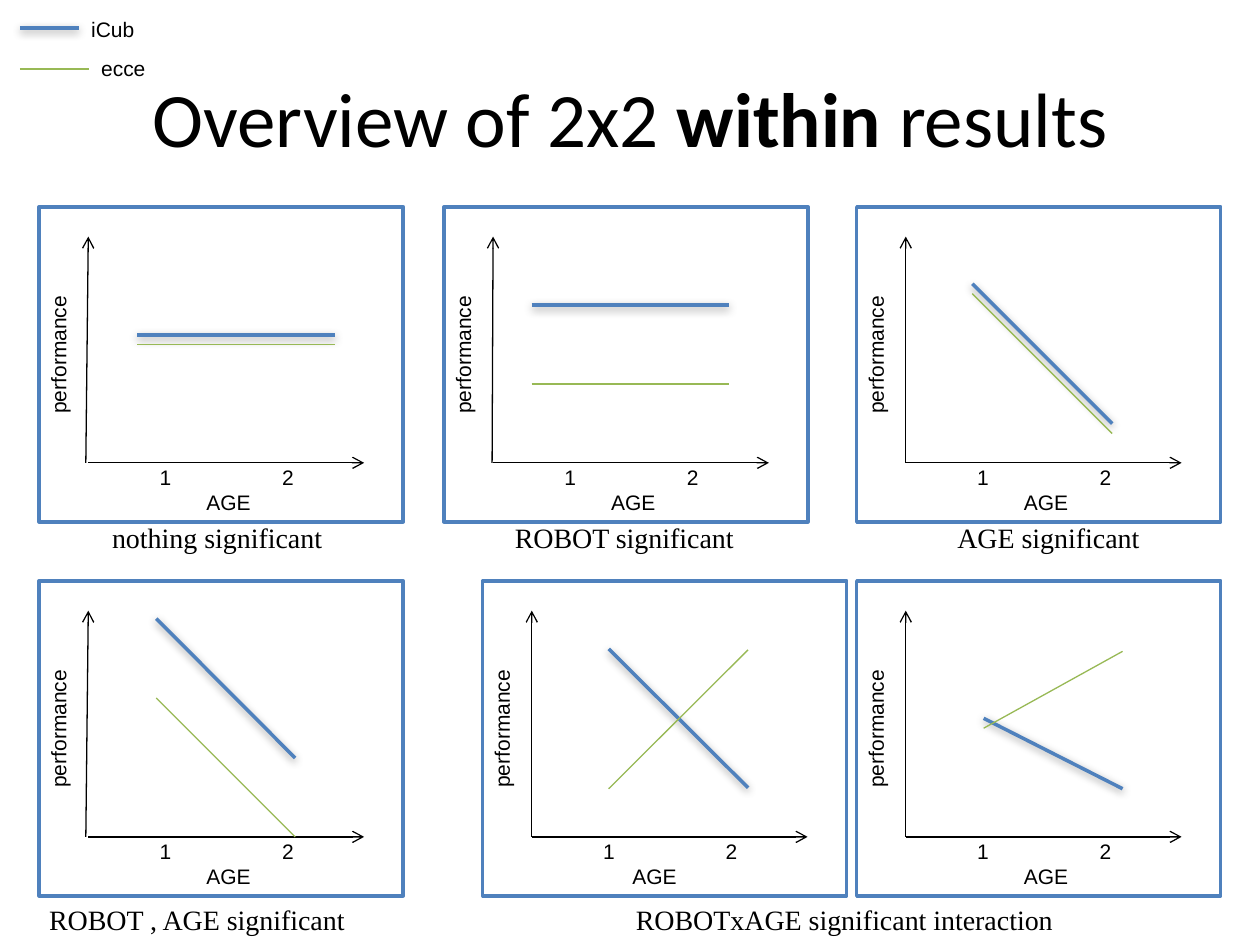
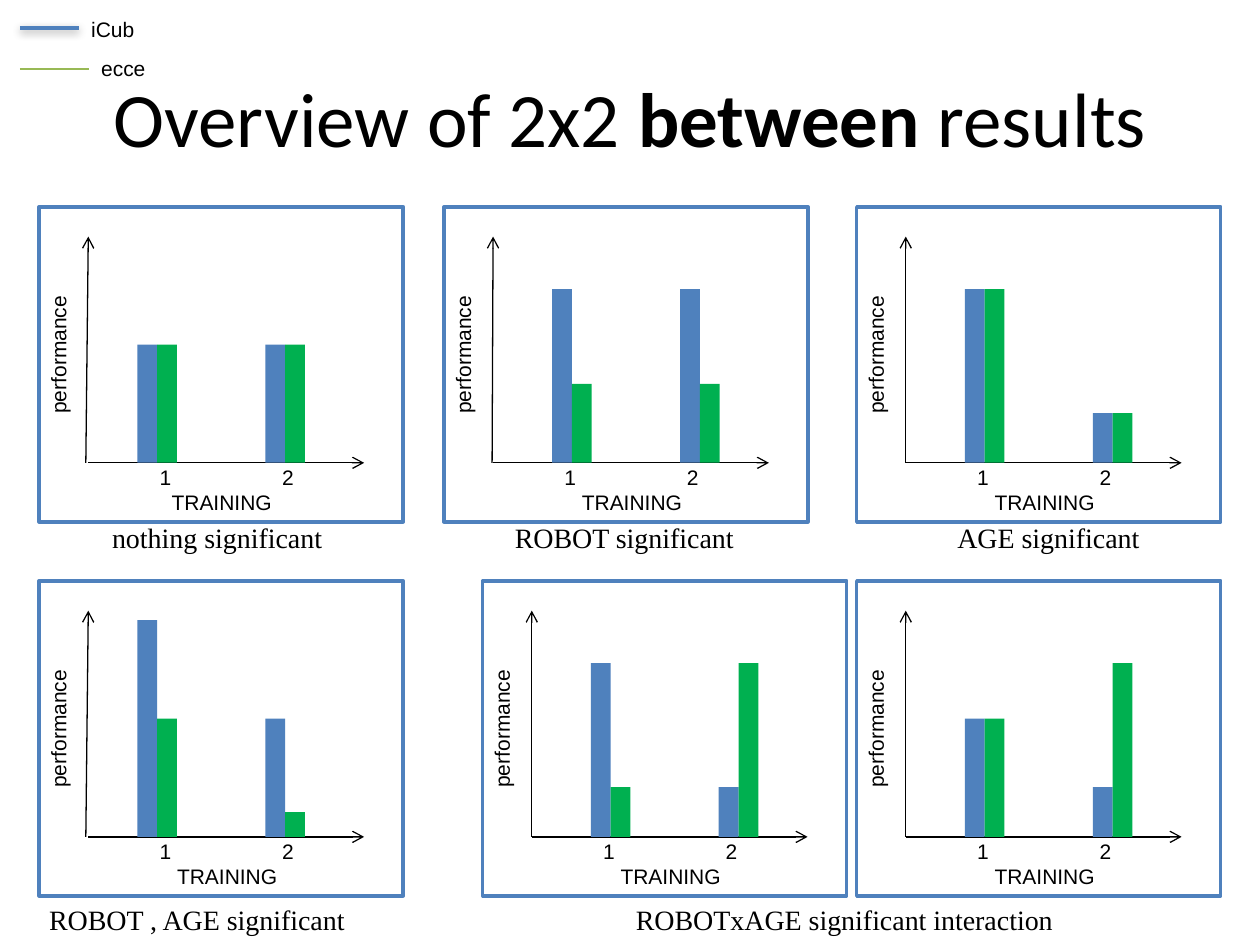
from lxml import etree
from pptx import Presentation
from pptx.dml.color import RGBColor
from pptx.enum.shapes import MSO_CONNECTOR, MSO_SHAPE
from pptx.enum.text import MSO_ANCHOR, PP_ALIGN
from pptx.oxml.ns import qn
from pptx.util import Cm, Pt

STRAIGHT = MSO_CONNECTOR.STRAIGHT
RECTANGLE = MSO_SHAPE.RECTANGLE
CENTER = PP_ALIGN.CENTER
MIDDLE = MSO_ANCHOR.MIDDLE

BLACK = RGBColor(0x00, 0x00, 0x00)
WHITE = RGBColor(0xFF, 0xFF, 0xFF)
BLUE = RGBColor(0x4F, 0x81, 0xBD)
LIGHT_GREEN = RGBColor(0x98, 0xB9, 0x55)
GREEN = RGBColor(0x00, 0xB0, 0x50)

# All lengths are in centimetres
PANEL_W, PANEL_H = 7.34, 6.35
ROW_TOPS = (4.17, 11.71)
PANELS = [(left, top) for top, lefts in zip(
    ROW_TOPS, ((0.79, 8.95, 17.27), (0.79, 9.73, 17.27))) for left in lefts]
AXIS_LEANS = (0.05, 0.02, 0, 0.05, 0, 0)
ORIGIN_X, ORIGIN_Y = 0.99, 5.16
AXIS_TOP, AXIS_RIGHT = 0.6, 6.55
SECOND_TICK = 2.47
BAR_W, BAR_GROUP_STEP = 0.4, 2.58

CAPTIONS = [
    ("nothing significant", 2.01, 10.36, 4.95),
    ("ROBOT significant", 10.13, 10.36, 4.98),
    ("AGE significant", 19.05, 10.36, 4.24),
    ("ROBOT , AGE significant", 0.74, 18.06, 6.55),
    ("ROBOTxAGE significant interaction", 12.57, 18.06, 9.25),
]

# Per panel: x start, x end, then (y start, y end) of iCub and of ecce
TRENDS = [
    (1.98, 5.96, (2.58, 2.58), (2.78, 2.78)),
    (1.77, 5.74, (1.98, 1.98), (3.57, 3.57)),
    (2.33, 5.15, (1.55, 4.37), (1.75, 4.57)),
    (2.36, 5.16, (0.76, 3.57), (2.36, 5.16)),
    (2.54, 5.35, (1.37, 4.17), (4.19, 1.39)),
    (2.56, 5.36, (2.77, 4.19), (2.97, 1.42)),
]

# Per panel: x of the first bar, then (iCub, ecce) heights for 1 and 2
BARS = [
    (1.98, (2.38, 2.38), (2.38, 2.38)),
    (2.18, (3.5, 1.59), (3.5, 1.59)),
    (2.18, (3.5, 3.5), (1, 1)),
    (1.98, (4.37, 2.38), (2.38, 0.5)),
    (2.18, (3.5, 1), (1, 3.5)),
    (2.18, (2.38, 2.38), (1, 3.5)),
]

AGE_INDENTS = (0.94, 0.94, 0.94, 0.94, 0.59, 0.94)
TRAINING_INDENTS = (0.24, 0.35, 0.35, 0.35, 0.35, 0.35)


class Deck:
    """Holds the presentation, its style and the current slide."""

    def __init__(self):
        self.prs = Presentation()
        self.prs.slide_width, self.prs.slide_height = Cm(25.4), Cm(19.05)
        self.slide = None

    def new_slide(self):
        self.slide = self.prs.slides.add_slide(self.prs.slide_layouts[6])

    def style(self, paragraph, font, size):
        for run in paragraph.runs:
            run.font.name, run.font.size = font, Pt(size)
            run.font.color.rgb = BLACK

    def text(self, lines, left, top, width, height, font="Arial", size=12, wrap=False):
        box = self.slide.shapes.add_textbox(Cm(left), Cm(top), Cm(width), Cm(height))
        frame = box.text_frame
        frame.text = lines
        frame.word_wrap = wrap
        for paragraph in frame.paragraphs:
            self.style(paragraph, font, size)
        return box

    def title(self, parts):
        box = self.text("", 1.27, 0.76, 22.86, 3.18, wrap=True)
        box.text_frame.vertical_anchor = MIDDLE
        paragraph = box.text_frame.paragraphs[0]
        paragraph.alignment = CENTER
        for index, part in enumerate(parts):
            run = paragraph.add_run()
            run.text = part
            run.font.bold = index == 1
        self.style(paragraph, "Calibri", 44)

    def rect(self, left, top, width, height, fill, outline=None):
        shape = self.slide.shapes.add_shape(
            RECTANGLE, Cm(left), Cm(top), Cm(width), Cm(height))
        shape.shadow.inherit = False
        shape.fill.solid()
        shape.fill.fore_color.rgb = fill
        if outline is None:
            shape.line.fill.background()
        else:
            shape.line.color.rgb = outline
            shape.line.width = Pt(2)

    def line(self, x1, y1, x2, y2, color, width=0.75, arrow=False, shadow=False):
        connector = self.slide.shapes.add_connector(
            STRAIGHT, Cm(x1), Cm(y1), Cm(x2), Cm(y2))
        connector.line.color.rgb = color
        connector.line.width = Pt(width)
        properties = connector._element.spPr
        if arrow:
            etree.SubElement(properties.find(qn("a:ln")), qn("a:tailEnd"), type="arrow")
        effects = etree.SubElement(properties, qn("a:effectLst"))
        if shadow:
            outer = etree.SubElement(
                effects, qn("a:outerShdw"), blurRad=str(Pt(5)),
                dist=str(Pt(1.6)), dir="5400000", rotWithShape="0")
            tint = etree.SubElement(outer, qn("a:srgbClr"), val=str(BLACK))
            etree.SubElement(tint, qn("a:alpha"), val="38000")

    def icub_line(self, x1, y1, x2, y2):
        self.line(x1, y1, x2, y2, BLUE, width=2, shadow=True)

    def ecce_line(self, x1, y1, x2, y2):
        self.line(x1, y1, x2, y2, LIGHT_GREEN)

    def legend(self):
        self.icub_line(0.4, 0.56, 1.59, 0.56)
        self.ecce_line(0.4, 1.39, 1.79, 1.39)
        self.text("iCub", 1.59, 0.2, 1.4, 0.76)
        self.text("ecce", 1.79, 0.99, 1.42, 0.76)

    def panel(self, left, top, lean, factor, indent):
        """Frame, axes and axis labels of one small diagram."""
        x, y = left + ORIGIN_X, top + ORIGIN_Y
        self.rect(left, top, PANEL_W, PANEL_H, WHITE, BLUE)
        self.line(x - lean, y, x, top + AXIS_TOP, BLACK, arrow=True)
        self.line(x, y, left + AXIS_RIGHT, y, BLACK, arrow=True)
        labels = self.text(f"1\t2\n{factor}", left + 2.18, top + 5.07, 3.6, 1.27, wrap=True)
        ticks, name = labels.text_frame.paragraphs
        tabs = etree.SubElement(ticks._p.get_or_add_pPr(), qn("a:tabLst"))
        etree.SubElement(tabs, qn("a:tab"), pos=str(Cm(SECOND_TICK)), algn="l")
        name._p.get_or_add_pPr().set("marL", str(Cm(indent)))
        self.text("performance", left - 1.07, top + 2.59, 2.9, 0.76).rotation = 270

    def trends(self, left, top, start, end, icub, ecce):
        for draw, (y1, y2) in ((self.icub_line, icub), (self.ecce_line, ecce)):
            draw(left + start, top + y1, left + end, top + y2)

    def bars(self, left, top, start, *groups):
        for group, heights in enumerate(groups):
            for robot, (height, color) in enumerate(zip(heights, (BLUE, GREEN))):
                x = left + start + group * BAR_GROUP_STEP + robot * BAR_W
                self.rect(x, top + ORIGIN_Y - height, BAR_W, height, color)

    def overview(self, design, factor, indents, draw_results, results):
        """One slide: title, legend, six diagrams and their captions."""
        self.new_slide()
        self.title(("Overview of 2x2 ", f"{design} ", "results"))
        for (left, top), lean, indent, result in zip(PANELS, AXIS_LEANS, indents, results):
            self.panel(left, top, lean, factor, indent)
            draw_results(left, top, *result)
        self.legend()
        for caption, left, top, width in CAPTIONS:
            self.text(caption, left, top, width, 0.94, "Times New Roman", 16)


def main():
    deck = Deck()
    deck.overview("within", "AGE", AGE_INDENTS, deck.trends, TRENDS)
    deck.overview("between", "TRAINING", TRAINING_INDENTS, deck.bars, BARS)
    deck.prs.save("out.pptx")


if __name__ == "__main__":
    main()
